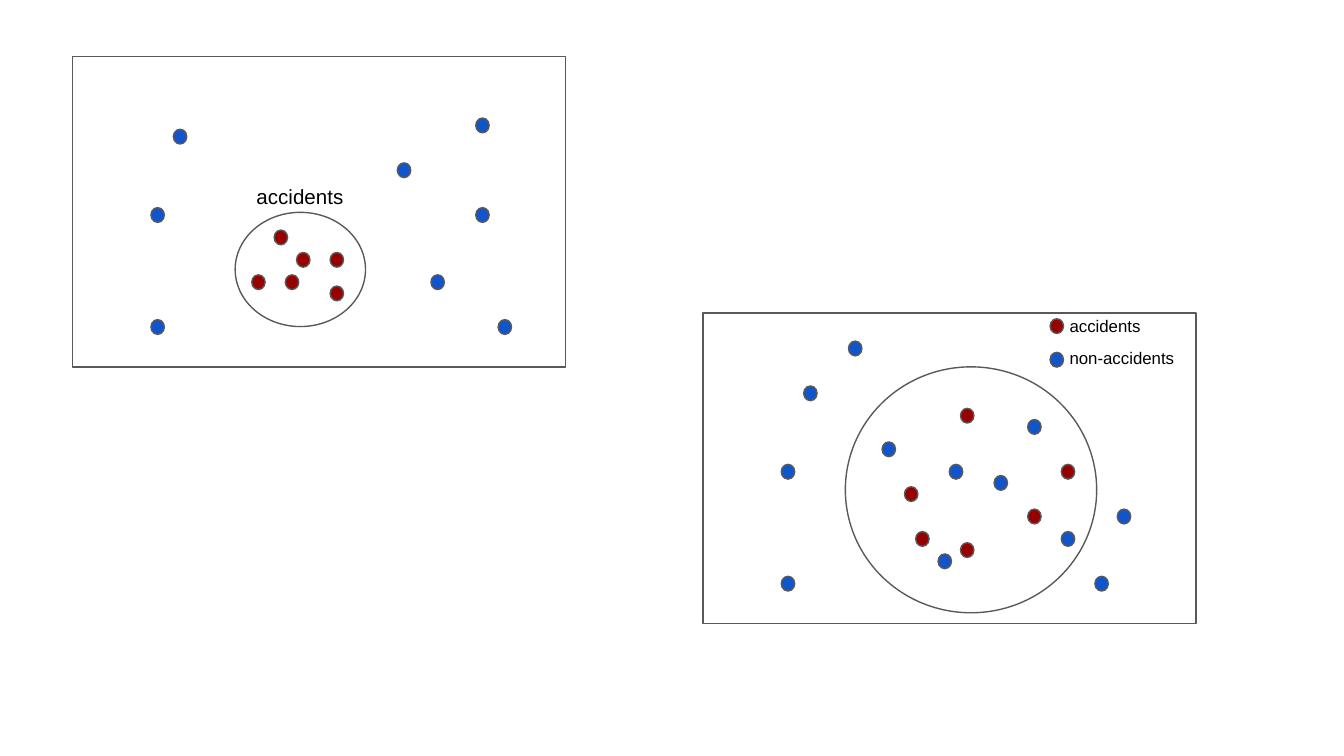
from pptx import Presentation
from pptx.dml.color import RGBColor
from pptx.enum.shapes import MSO_SHAPE
from pptx.util import Inches, Pt

COLORS = {"outline": "595959", "accident": "980000", "other": "1155CC", "text": "000000"}
CELL = 1 / 12  # grid step inside a panel, inches
PANEL_SIZE = (3.67, 2.31)
DOT_SIZE = (0.1, 0.11)

# Widescreen 16:9 page
prs = Presentation()
prs.slide_width = Inches(10)
prs.slide_height = prs.slide_width * 9 // 16
slide = prs.slides.add_slide(prs.slide_layouts[6])


def add_outline(kind, left, top, width, height, fill=None):
    shape = slide.shapes.add_shape(
        kind, Inches(left), Inches(top), Inches(width), Inches(height))
    shape.shadow.inherit = False
    if fill:
        shape.fill.solid()
        shape.fill.fore_color.rgb = RGBColor.from_string(COLORS[fill])
    else:
        shape.fill.background()
    shape.line.color.rgb = RGBColor.from_string(COLORS["outline"])
    shape.line.width = Pt(0.75)


def add_label(text, left, top, width=1.03, height=0.31, size=9, font="Arial", color="text"):
    frame = slide.shapes.add_textbox(
        Inches(left), Inches(top), Inches(width), Inches(height)).text_frame
    frame.word_wrap = True
    frame.margin_left = frame.margin_right = Inches(0.1)
    frame.margin_top = frame.margin_bottom = Inches(0.1)
    run = frame.paragraphs[0].add_run()
    run.text = text
    run.font.size = Pt(size)
    run.font.name = font
    run.font.color.rgb = RGBColor.from_string(COLORS[color])


def add_panel(left, top, cluster, dots, labels):
    """Draw a framed scatter; cluster and labels are offsets, dots are (column, row)."""
    add_outline(MSO_SHAPE.RECTANGLE, left, top, *PANEL_SIZE)
    dx, dy, width, height = cluster
    add_outline(MSO_SHAPE.OVAL, left + dx, top + dy, width, height)
    for group, cells in dots.items():
        for column, row in cells:
            add_outline(MSO_SHAPE.OVAL, left + column * CELL,
                        top + (row + 0.5) * CELL, *DOT_SIZE, fill=group)
    for text, dx, dy, style in labels:
        add_label(text, left + dx, top + dy, **style)


# Tight cluster holding accidents only
add_panel(
    0.54, 0.42, cluster=(1.21, 1.16, 0.97, 0.85),
    dots={
        "accident": [(18, 15), (20, 17), (19, 19), (23, 20), (23, 17), (16, 19)],
        "other": [(32, 19), (36, 13), (29, 9), (38, 23), (36, 5), (7, 23), (7, 13), (9, 6)],
    },
    labels=[("accidents", 1.27, 0.86, {"size": 11, "height": 0.46})])

# Wide cluster mixing both groups, with the legend in the top right corner
add_panel(
    5.23, 2.33, cluster=(1.06, 0.4, 1.87, 1.83),
    dots={
        "accident": [(18, 15), (32, 13), (19, 19), (23, 20), (29, 17), (23, 8), (31, 0)],
        "other": [(32, 19), (22, 13), (29, 9), (35, 23), (26, 14), (7, 23), (7, 13),
                  (9, 6), (21, 21), (16, 11), (37, 17), (13, 2), (31, 3)],
    },
    labels=[("accidents", 2.63, -0.06, {}), ("non-accidents", 2.63, 0.18, {})])

prs.save("out.pptx")
